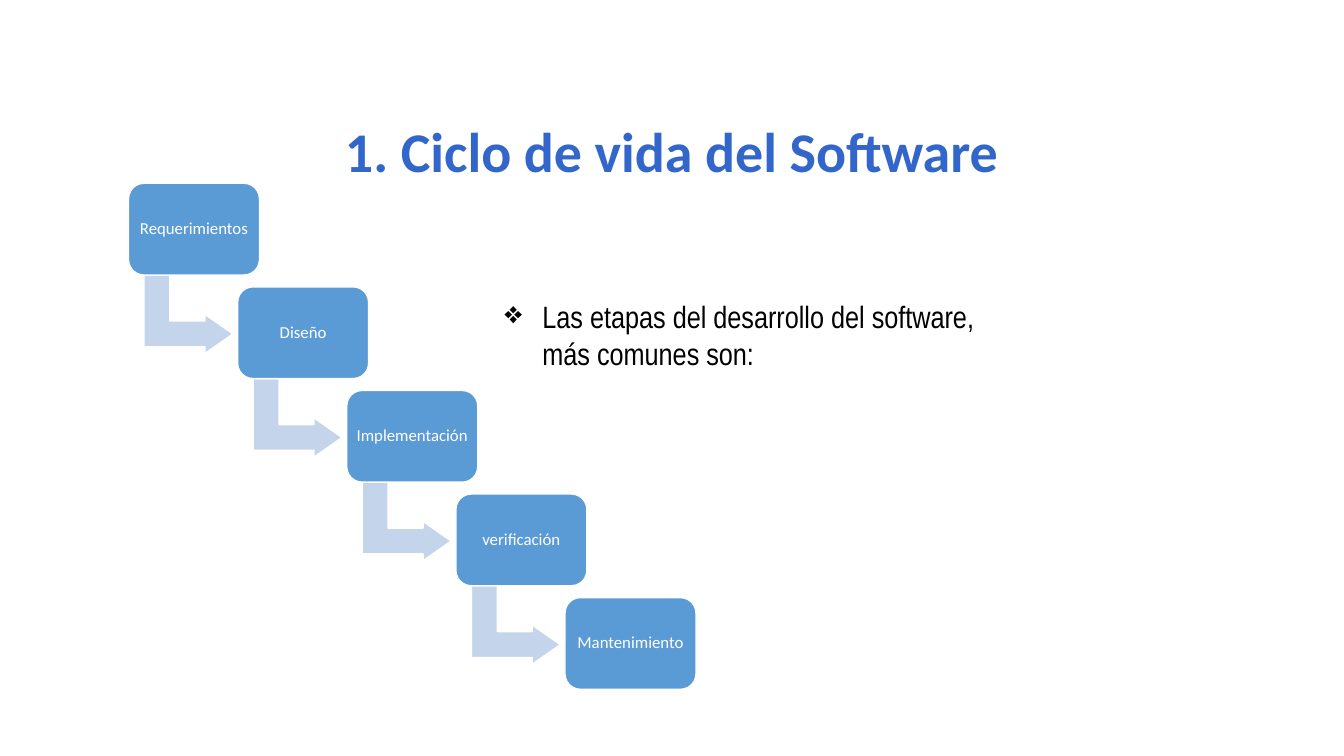
import dataclasses

import lxml.etree
import pptx
import pptx.dml.color
import pptx.enum.shapes
import pptx.enum.text
import pptx.oxml.ns
import pptx.util
from pptx.util import Cm


@dataclasses.dataclass(frozen=True)
class Theme:
    """Colours, fonts and type sizes of the slide."""
    title_color: str = "3366CA"
    stage_color: str = "5B9BD5"
    arrow_color: str = "C4D5EB"
    light: str = "FFFFFF"
    dark: str = "000000"
    main_font: str = "Calibri"
    body_font: str = "Arial Narrow"
    title_size: float = 40
    body_size: float = 22
    stage_size: float = 12


THEME = Theme()
STAGES = ["Requerimientos", "Diseño", "Implementación", "verificación", "Mantenimiento"]


def rgb(color):
    """Turn a hexadecimal string into a colour."""
    return pptx.dml.color.RGBColor.from_string(color)


def style_text(paragraph, font_name, size, color, bold=False):
    """Set the font of a whole paragraph."""
    font = paragraph.font
    font.name = font_name
    font.size = pptx.util.Pt(size)
    font.color.rgb = rgb(color)
    font.bold = bold


def add_text(slide, text, left, top, width, height):
    """Add a wrapping text box and return its paragraph."""
    frame = slide.shapes.add_textbox(left, top, width, height).text_frame
    frame.word_wrap = True
    frame.auto_size = pptx.enum.text.MSO_AUTO_SIZE.SHAPE_TO_FIT_TEXT
    paragraph = frame.paragraphs[0]
    paragraph.text = text
    return paragraph


def add_title(slide, left, top, width, height):
    """Write the centred title in its box."""
    paragraph = add_text(slide, "1. Ciclo de vida del Software", left, top, width, height)
    paragraph.alignment = pptx.enum.text.PP_ALIGN.CENTER
    style_text(paragraph, THEME.main_font, THEME.title_size, THEME.title_color, bold=True)


def add_body(slide, left, top, width, height):
    """Write the bulleted statement in its box."""
    text = "Las etapas del desarrollo del software, más comunes son:"
    paragraph = add_text(slide, text, left, top, width, height)
    properties = paragraph._p.get_or_add_pPr()
    indent = Cm(0.95)
    properties.set("marL", str(indent))
    properties.set("indent", str(-indent))
    bullet = lxml.etree.SubElement(properties, pptx.oxml.ns.qn("a:buChar"))
    bullet.set("char", "❖")
    style_text(paragraph, THEME.body_font, THEME.body_size, THEME.dark)


def add_block(slide, kind, color, adjustments, left, top, width, height):
    """Add a filled preset shape with a thin light outline."""
    shape = slide.shapes.add_shape(kind, left, top, width, height)
    shape.shadow.inherit = False
    shape.fill.solid()
    shape.fill.fore_color.rgb = rgb(color)
    shape.line.color.rgb = rgb(THEME.light)
    shape.line.width = pptx.util.Pt(1)
    for index, value in enumerate(adjustments):
        shape.adjustments[index] = value
    return shape


def add_arrow(slide, stage_left, stage_top):
    """Place the bent arrow that leads from a stage to the next one."""
    arrow = add_block(slide, pptx.enum.shapes.MSO_SHAPE.BENT_UP_ARROW, THEME.arrow_color,
                      (0.328, 0.25, 0.358), stage_left + Cm(0.52), stage_top + Cm(2.18),
                      Cm(1.98), Cm(2.24))
    arrow.rotation = 90


def add_stage(slide, name, left, top, width, height):
    """Place one labelled stage of the cycle."""
    stage = add_block(slide, pptx.enum.shapes.MSO_SHAPE.ROUNDED_RECTANGLE, THEME.stage_color,
                      (0.167,), left, top, width, height)
    frame = stage.text_frame
    frame.word_wrap = True
    frame.vertical_anchor = pptx.enum.text.MSO_ANCHOR.MIDDLE
    frame.margin_left = frame.margin_right = Cm(0.1)
    frame.margin_top = frame.margin_bottom = Cm(0.2)
    paragraph = frame.paragraphs[0]
    paragraph.text = name
    paragraph.alignment = pptx.enum.text.PP_ALIGN.CENTER
    paragraph.line_spacing = 0.9
    paragraph.space_after = pptx.util.Pt(4.2)
    style_text(paragraph, THEME.main_font, THEME.stage_size, THEME.light)


def add_staircase(slide, left, top, width, height):
    """Step the stages evenly down the box, joined by bent arrows."""
    stage_width, stage_height = Cm(3.3), Cm(2.31)
    steps = len(STAGES) - 1
    step_across = (width - stage_width) // steps
    step_down = (height - stage_height) // steps
    for index, name in enumerate(STAGES):
        stage_left = left + index * step_across
        stage_top = top + index * step_down
        if index < steps:
            add_arrow(slide, stage_left, stage_top)
        add_stage(slide, name, stage_left, stage_top, stage_width, stage_height)


def main():
    """Build the slide and save it."""
    presentation = pptx.Presentation()
    presentation.slide_width = Cm(33.87)
    presentation.slide_height = Cm(19.05)
    slide = presentation.slides.add_slide(presentation.slide_layouts[6])
    add_title(slide, Cm(6.27), Cm(2.82), Cm(21.31), Cm(1.96))
    add_staircase(slide, Cm(3.24), Cm(4.62), Cm(14.3), Cm(12.75))
    add_body(slide, Cm(12.47), Cm(7.39), Cm(12.9), Cm(2.13))
    presentation.save("out.pptx")


if __name__ == "__main__":
    main()
